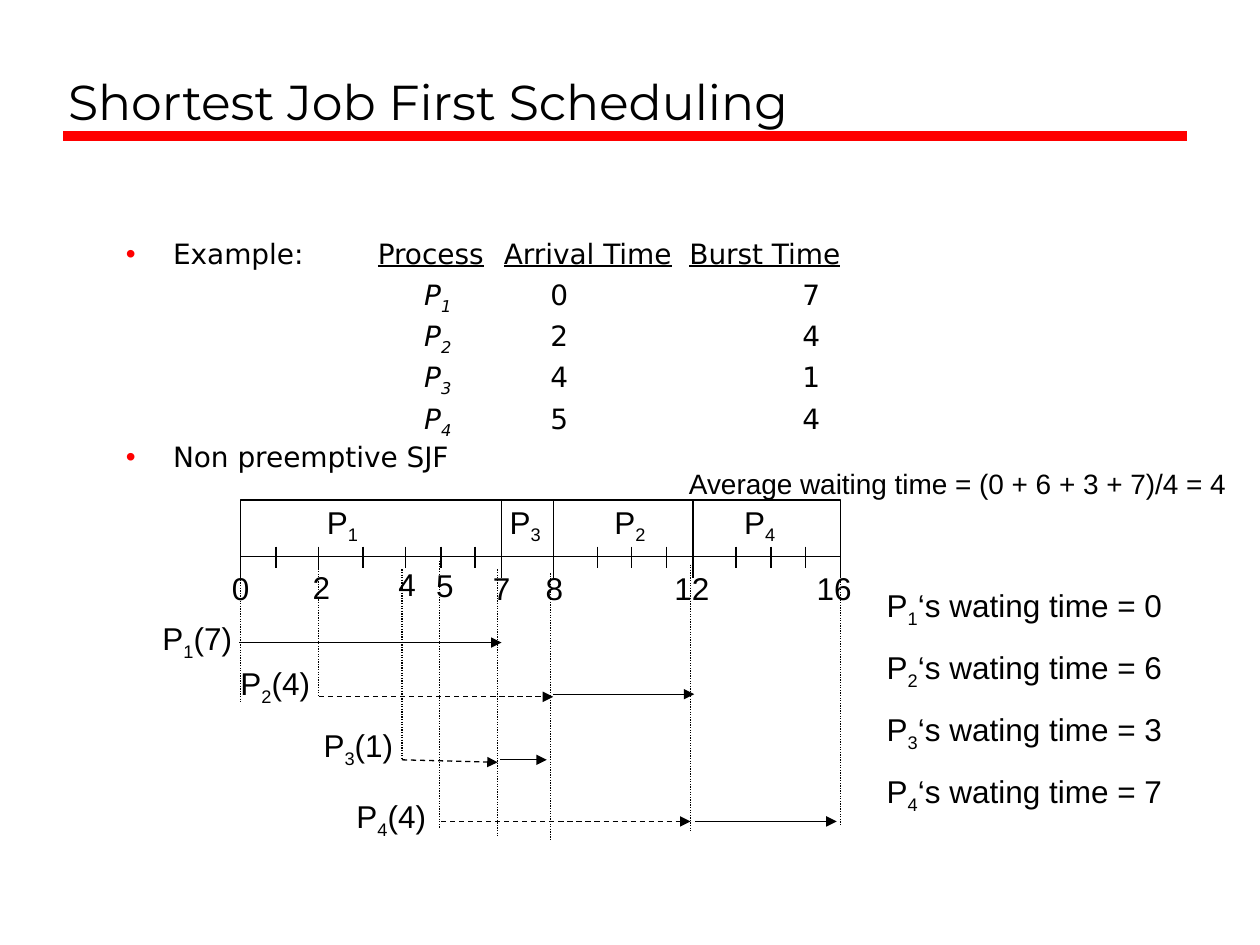
from typing import NamedTuple

from lxml.etree import SubElement
from pptx import Presentation
from pptx.dml.color import RGBColor
from pptx.enum.dml import MSO_LINE
from pptx.enum.shapes import MSO_CONNECTOR, MSO_SHAPE
from pptx.enum.text import MSO_ANCHOR, PP_ALIGN
from pptx.oxml.ns import qn
from pptx.util import Pt

BLACK, RED, WHITE = "000000", "FF0000", "FFFFFF"
SANS, BODY_FONT, TITLE_FONT = "Arial", "DejaVu Sans", "Montserrat"

BAR_TOP, BAR_BOTTOM = 285.8, 318.2
TIME_X = dict(enumerate([
    137.5, 157.7, 182.2, 207.4, 231.8, 252, 271.4, 286.6, 316.1,
    341.3, 360.7, 380.9, 396, 420.5, 440.6, 460.1, 480.2,
]))
BOUNDARIES = (0, 7, 8, 12, 16)


class Process(NamedTuple):
    number: int
    arrival: int
    burst: int
    waiting: int
    bar_x: float
    label_x: float
    label_y: float


class Arrow(NamedTuple):
    x1: float
    y1: float
    x2: float
    y2: float
    waiting: bool = False


class Guide(NamedTuple):
    x: float
    top: float
    bottom: float


class TimeLabel(NamedTuple):
    time: int
    centre: float
    top: float = 321.8


PROCESSES = [
    Process(1, 0, 7, 0, 195.8, 112.7, 351.4),
    Process(2, 2, 4, 6, 360, 157.3, 377.3),
    Process(3, 4, 1, 3, 300.2, 204.8, 412.6),
    Process(4, 5, 4, 7, 434.2, 223.6, 453.6),
]
ARROWS = [
    Arrow(136.8, 367.2, 286.6, 367.2),
    Arrow(182.2, 398.2, 316.1, 398.2, True),
    Arrow(316.1, 396.7, 396.7, 396.7),
    Arrow(229.7, 434.2, 284.4, 435.6, True),
    Arrow(285.8, 434.2, 312.5, 434.2),
    Arrow(252, 469.4, 394.6, 469.4, True),
    Arrow(397.4, 469.4, 478.1, 469.4),
]
GUIDES = [
    Guide(137.5, 324, 401.8), Guide(182.2, 320.4, 398.2),
    Guide(229.7, 325.4, 434.2), Guide(251.3, 320.4, 473),
    Guide(284.4, 325.4, 478.1), Guide(314.6, 327.6, 480.2),
    Guide(394.6, 322.6, 475.2), Guide(480.2, 319, 471.6),
]
TIME_LABELS = [
    TimeLabel(0, 137.5), TimeLabel(2, 183.6, 321.1), TimeLabel(4, 232.6, 319),
    TimeLabel(5, 254.2, 319.7), TimeLabel(7, 286.6), TimeLabel(8, 316.8),
    TimeLabel(12, 395.3), TimeLabel(16, 476.6),
]


def rgb(value: str) -> RGBColor:
    return RGBColor.from_string(value)


def style(font, name: str, size: float) -> None:
    font.name = name
    font.size = Pt(size)
    font.color.rgb = rgb(BLACK)


def add_line(slide, x1, y1, x2, y2, color=BLACK, width=0.75, dash=None, arrow=False) -> None:
    line = slide.shapes.add_connector(MSO_CONNECTOR.STRAIGHT, Pt(x1), Pt(y1), Pt(x2), Pt(y2))
    line.line.color.rgb = rgb(color)
    line.line.width = Pt(width)
    if dash:
        line.line.dash_style = dash
    if arrow:
        SubElement(line.line._get_or_add_ln(), qn("a:tailEnd"), type="triangle")
    SubElement(line._element.spPr, qn("a:effectLst"))


def add_text_frame(slide, left, top, width, height, wrap=False, anchor=MSO_ANCHOR.MIDDLE):
    frame = slide.shapes.add_textbox(Pt(left), Pt(top), Pt(width), Pt(height)).text_frame
    frame.word_wrap = wrap
    frame.vertical_anchor = anchor
    return frame


def add_run(paragraph, text: str, size: float, name=SANS, subscript=False,
            italic=False, underline=False) -> None:
    run = paragraph.add_run()
    run.text = text
    style(run.font, name, size)
    run.font.italic = italic
    run.font.underline = underline
    if subscript:
        run.font._element.set("baseline", "-25000")


def write_process(paragraph, number: int, suffix: str = "") -> None:
    """Write P with its subscript number, centred, then the suffix."""
    paragraph.alignment = PP_ALIGN.CENTER
    add_run(paragraph, "P", 18)
    add_run(paragraph, str(number), 18, subscript=True)
    if suffix:
        add_run(paragraph, suffix, 18)


def set_bullet(paragraph) -> None:
    properties = paragraph._p.get_or_add_pPr()
    for key, value in (("marL", Pt(27)), ("indent", -Pt(27)), ("defTabSz", Pt(72))):
        properties.set(key, str(value))
    color = SubElement(properties, qn("a:buClr"))
    SubElement(color, qn("a:srgbClr"), val=RED)
    SubElement(properties, qn("a:buFont"), typeface=SANS)
    SubElement(properties, qn("a:buChar"), char="•")


def set_tabs(paragraph, *positions: float) -> None:
    tabs = SubElement(paragraph._p.get_or_add_pPr(), qn("a:tabLst"))
    for position in positions:
        SubElement(tabs, qn("a:tab"), pos=str(Pt(position)), algn="l")


def add_title(slide) -> None:
    add_line(slide, 36, 77.8, 678.2, 77.8, RED, 6)
    title = slide.shapes.title
    title.left, title.top, title.width, title.height = Pt(31.7), Pt(12.2), Pt(645.8), Pt(66.2)
    frame = title.text_frame
    frame.text = "Shortest Job First Scheduling"
    frame.vertical_anchor = MSO_ANCHOR.BOTTOM
    frame.paragraphs[0].alignment = PP_ALIGN.LEFT
    style(frame.paragraphs[0].runs[0].font, TITLE_FONT, 28)


def add_example(slide) -> None:
    frame = add_text_frame(slide, 64.8, 133.9, 637.2, 187.9, True, MSO_ANCHOR.TOP)
    header = frame.paragraphs[0]
    set_bullet(header)
    for text in ("Example:\t", "Process", "\t", "Arrival Time", " ", "Burst Time"):
        add_run(header, text, 16, BODY_FONT, underline=text in ("Process", "Arrival Time", "Burst Time"))
    header.runs[4].font._element.set("spc", "500")

    for process in PROCESSES:
        row = frame.add_paragraph()
        set_tabs(row, 170.5, 242.6, 386.6)
        add_run(row, "\t", 16, BODY_FONT)
        add_run(row, "P", 16, BODY_FONT, italic=True)
        add_run(row, str(process.number), 16, BODY_FONT, subscript=True, italic=True)
        add_run(row, f"\t{process.arrival}\t{process.burst}", 16, BODY_FONT)

    method = frame.add_paragraph()
    set_bullet(method)
    add_run(method, "Non preemptive SJF", 16, BODY_FONT)
    for paragraph in frame.paragraphs:
        paragraph.line_spacing = 0.9
    for paragraph in frame.paragraphs[1:]:
        paragraph.space_before = Pt(4)


def add_gantt_bar(slide) -> None:
    left, right = TIME_X[0], TIME_X[16]
    bar = slide.shapes.add_shape(MSO_SHAPE.RECTANGLE, Pt(left), Pt(BAR_TOP),
                                 Pt(right - left), Pt(BAR_BOTTOM - BAR_TOP))
    bar.shadow.inherit = False
    bar.fill.solid()
    bar.fill.fore_color.rgb = rgb(WHITE)
    bar.line.color.rgb = rgb(BLACK)
    bar.line.width = Pt(0.75)
    for time, x in TIME_X.items():
        if time in BOUNDARIES:
            add_line(slide, x, BAR_TOP, x, BAR_BOTTOM + 12.2)
        else:
            add_line(slide, x, BAR_BOTTOM - 5.8, x, BAR_BOTTOM + 6.5)
    for label in TIME_LABELS:
        paragraph = add_text_frame(slide, label.centre - 17.3, label.top, 34.6, 28.8).paragraphs[0]
        paragraph.alignment = PP_ALIGN.CENTER
        add_run(paragraph, str(label.time), 18)


def add_timelines(slide) -> None:
    for guide in GUIDES:
        add_line(slide, guide.x, guide.top, guide.x, guide.bottom, dash=MSO_LINE.ROUND_DOT)
    for arrow in ARROWS:
        add_line(slide, arrow.x1, arrow.y1, arrow.x2, arrow.y2,
                 dash=MSO_LINE.DASH if arrow.waiting else None, arrow=True)
    for process in PROCESSES:
        on_bar = add_text_frame(slide, process.bar_x - 16.6, 285.1, 33.1, 28.8)
        write_process(on_bar.paragraphs[0], process.number)
        beside = add_text_frame(slide, process.label_x - 27.7, process.label_y, 55.4, 28.8)
        write_process(beside.paragraphs[0], process.number, f"({process.burst})")


def add_waiting_times(slide) -> None:
    average = add_text_frame(slide, 386.6, 262.8, 323.3, 26.6, anchor=MSO_ANCHOR.TOP)
    waits = " + ".join(str(process.waiting) for process in PROCESSES)
    add_run(average.paragraphs[0], f"Average waiting time = ({waits})/4 = 4", 16)
    frame = add_text_frame(slide, 499, 337, 172.8, 126.7)
    for index, process in enumerate(PROCESSES):
        paragraph = frame.add_paragraph() if index else frame.paragraphs[0]
        write_process(paragraph, process.number, f"‘s wating time = {process.waiting}")
        if index:
            paragraph.space_before = Pt(11)


def main() -> None:
    deck = Presentation()
    deck.slide_width, deck.slide_height = Pt(720), Pt(540)
    slide = deck.slides.add_slide(deck.slide_layouts[5])
    add_title(slide)
    add_example(slide)
    add_gantt_bar(slide)
    add_timelines(slide)
    add_waiting_times(slide)
    deck.save("out.pptx")


if __name__ == "__main__":
    main()
